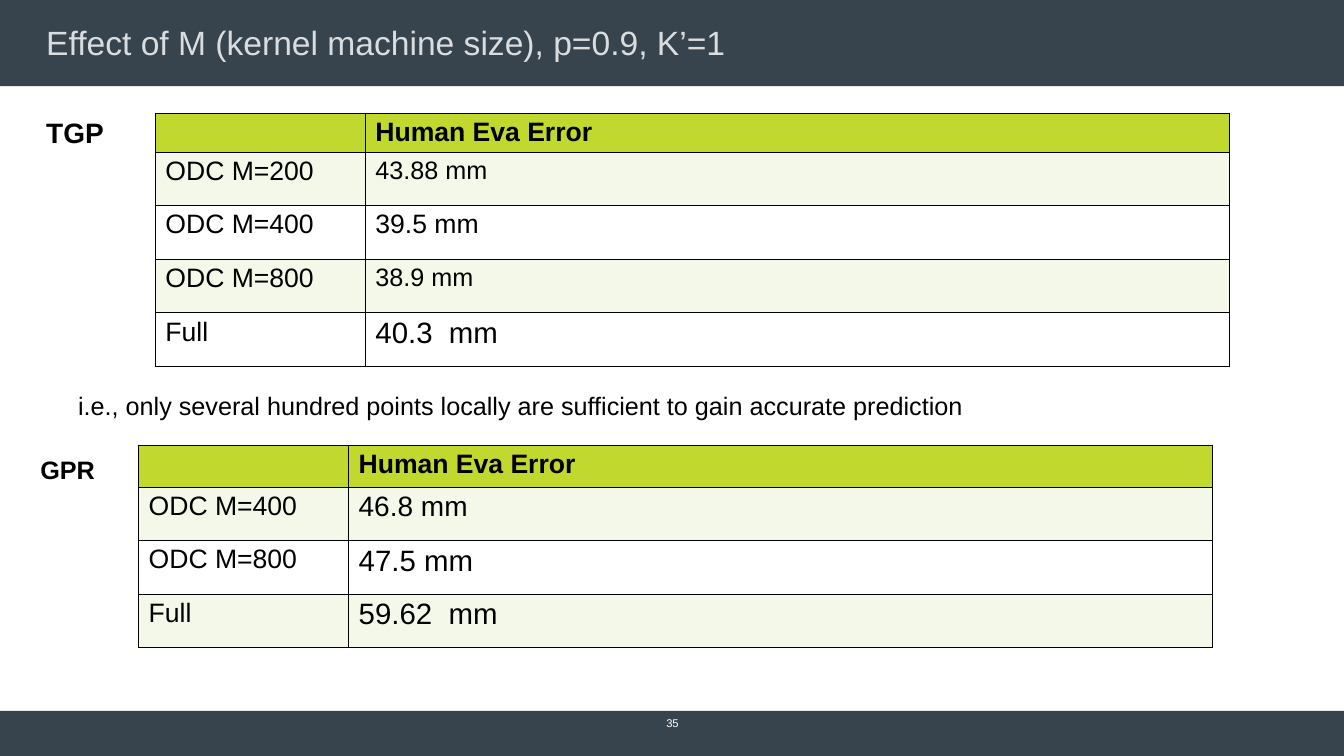
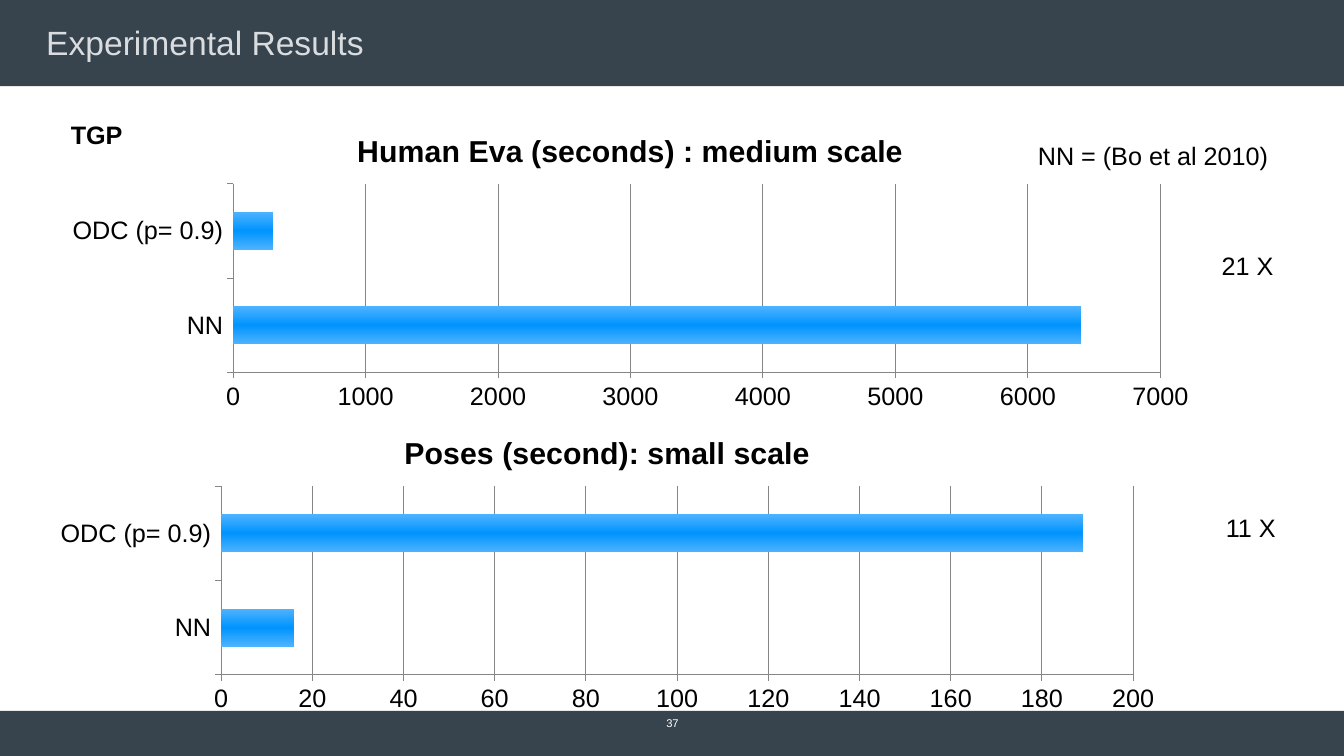
from copy import deepcopy
from dataclasses import dataclass

from lxml.etree import SubElement
from pptx import Presentation
from pptx.chart.data import CategoryChartData
from pptx.dml.color import RGBColor
from pptx.enum.chart import XL_CHART_TYPE, XL_TICK_MARK
from pptx.enum.shapes import MSO_SHAPE
from pptx.enum.text import MSO_ANCHOR, MSO_AUTO_SIZE, PP_ALIGN
from pptx.oxml import parse_xml
from pptx.oxml.ns import nsdecls, qn
from pptx.util import Emu, Pt

# Shared look
PX = 9525
WIDE, HIGH = 1280, 720
FACE = "Arial"
INK = {
    "band": "37434D", "title": "DADDE0", "text": "000000", "white": "FFFFFF",
    "head": "C1D82F", "tint": "F4F8E8", "axis": "868686",
    "edge": "4DB3FF", "core": "0094FF",
}


@dataclass(frozen=True)
class Box:
    left: int
    top: int
    width: int
    height: int

    def emu(self) -> list[Emu]:
        return [px(n) for n in (self.left, self.top, self.width, self.height)]


@dataclass(frozen=True)
class Label:
    text: str
    box: Box
    bold: bool = False


@dataclass(frozen=True)
class Row:
    name: str
    error: str
    size: int


@dataclass(frozen=True)
class Grid:
    left: int
    top: int
    head: int
    rows: list[Row]


@dataclass(frozen=True)
class Graph:
    title: str
    box: Box
    values: tuple[int, int]
    top: int
    step: int


BANDS = [Box(0, 0, WIDE, 82), Box(0, 677, WIDE, 43)]
TITLE = Box(32, 19, 1215, 43)
BODY = Box(32, 104, 1215, 544)
PAGE = Box(587, 680, 107, 17)
COLS = (200, 823)
ROW = 51

GRIDS = [
    Grid(148, 108, 37, [
        Row("ODC M=200", "43.88 mm", 18),
        Row("ODC M=400", "39.5 mm", 19),
        Row("ODC M=800", "38.9 mm", 18),
        Row("Full", "40.3  mm", 21),
    ]),
    Grid(132, 424, 40, [
        Row("ODC M=400", "46.8 mm", 20),
        Row("ODC M=800", "47.5 mm", 21),
        Row("Full", "59.62  mm", 21),
    ]),
]
NOTES = [
    Label("i.e., only several hundred points locally are sufficient to gain "
          "accurate prediction", Box(65, 367, 882, 38)),
    Label("GPR", Box(29, 428, 72, 38), True),
]
GRAPHS = [
    Graph("Human Eva (seconds) : medium scale", Box(47, 109, 1107, 288),
          (6400, 300), 7000, 1000),
    Graph("Poses (second): small scale", Box(36, 397, 1085, 288),
          (16, 189), 200, 20),
]
MARKS = [
    Label("TGP", Box(58, 109, 69, 38), True),
    Label("21 X", Box(1154, 234, 69, 38)),
    Label("11 X", Box(1158, 483, 67, 38)),
    Label("NN = (Bo et al 2010)", Box(979, 129, 241, 38)),
]


def px(count: int) -> Emu:
    return Emu(count * PX)


def hue(name: str) -> RGBColor:
    return RGBColor.from_string(INK[name])


def style(font, size: float, ink: str = "text", bold: bool = False) -> None:
    font.name, font.size, font.bold = FACE, Pt(size), bold
    font.color.rgb = hue(ink)


def place(shape, box: Box) -> None:
    shape.left, shape.top, shape.width, shape.height = box.emu()


def inset(frame) -> None:
    frame.margin_left = frame.margin_right = px(12)
    frame.margin_top = frame.margin_bottom = px(6)
    frame.auto_size = MSO_AUTO_SIZE.NONE
    frame.word_wrap = True


def add_bands(slide, layout) -> None:
    """Put the bands on the layout, behind its placeholders."""
    for rank, box in enumerate(BANDS):
        band = slide.shapes.add_shape(MSO_SHAPE.RECTANGLE, *box.emu())
        band.shadow.inherit = False
        band.fill.solid()
        band.fill.fore_color.rgb = hue("band")
        band.line.fill.background()
        band.element.nvSpPr.cNvPr.set("id", str(90 + rank))
        layout.shapes.element.insert(2 + rank, band.element)


def add_frame(slide, title: str, page: str) -> None:
    """Fill the title and the page number."""
    head = slide.shapes.title
    place(head, TITLE)
    frame = head.text_frame
    frame.text = title
    inset(frame)
    frame.vertical_anchor = MSO_ANCHOR.MIDDLE
    line = frame.paragraphs[0]
    line.alignment = PP_ALIGN.LEFT
    style(line.font, 24, "title")

    frame = slide.shapes.add_textbox(*PAGE.emu()).text_frame
    frame.text = page
    inset(frame)
    frame.vertical_anchor = MSO_ANCHOR.MIDDLE
    line = frame.paragraphs[0]
    line.alignment = PP_ALIGN.CENTER
    style(line.font, 8, "white")


def fill_body(body, text: str) -> None:
    place(body, BODY)
    frame = body.text_frame
    frame.text = text
    inset(frame)
    line = frame.paragraphs[0]
    line.space_before = Pt(7.1)
    style(line.font, 20, bold=True)
    props = line._p.get_or_add_pPr()
    props.set("marL", "0")
    props.set("indent", "0")
    props.find(qn("a:spcBef")).addnext(
        parse_xml(f"<a:buNone {nsdecls('a')}/>"))


def add_label(slide, label: Label) -> None:
    frame = slide.shapes.add_textbox(*label.box.emu()).text_frame
    frame.text = label.text
    frame.word_wrap = False
    frame.auto_size = MSO_AUTO_SIZE.SHAPE_TO_FIT_TEXT
    style(frame.paragraphs[0].font, 18, bold=label.bold)


def set_cell(cell, text: str, size: int, fill: str, bold: bool) -> None:
    cell.text = text
    cell.margin_top = cell.margin_bottom = px(4)
    style(cell.text_frame.paragraphs[0].font, size, bold=bold)
    cell.fill.solid()
    cell.fill.fore_color.rgb = hue(fill)
    # Borders stand before the fill
    props = cell._tc.get_or_add_tcPr()
    for rank, side in enumerate("LRTB"):
        edge = parse_xml(f'<a:ln{side} {nsdecls("a")} w="12700"/>')
        paint = SubElement(edge, qn("a:solidFill"))
        SubElement(paint, qn("a:srgbClr"), val=INK["text"])
        props.insert(rank, edge)


def add_grid(slide, grid: Grid) -> None:
    count = len(grid.rows) + 1
    box = Box(grid.left, grid.top, sum(COLS), grid.head + ROW * (count - 1))
    table = slide.shapes.add_table(count, len(COLS), *box.emu()).table
    table.first_row = table.horz_banding = False
    for col, width in zip(table.columns, COLS):
        col.width = px(width)
    for rank, row in enumerate([Row("", "Human Eva Error", 19), *grid.rows]):
        top = rank == 0
        table.rows[rank].height = px(grid.head if top else ROW)
        fill = "head" if top else ("white", "tint")[rank % 2]
        set_cell(table.cell(rank, 0), row.name, 19, fill, top)
        set_cell(table.cell(rank, 1), row.error, row.size, fill, top)


def shade(fill) -> None:
    """Blend from light edges to a strong core."""
    fill.gradient()
    fill.gradient_angle = 90
    first, last = fill.gradient_stops
    first.color.rgb, first.position = hue("edge"), 0
    last.color.rgb, last.position = hue("core"), 0.5
    end = deepcopy(first._gs)
    end.set("pos", "100000")
    last._gs.addnext(end)


def add_graph(slide, graph: Graph) -> None:
    data = CategoryChartData()
    data.categories = ["NN", "ODC (p= 0.9)"]
    data.add_series("Series 1", graph.values)
    chart = slide.shapes.add_chart(
        XL_CHART_TYPE.BAR_CLUSTERED, *graph.box.emu(), data).chart
    style(chart.font, 18)
    chart.has_legend = False
    chart.has_title = True
    frame = chart.chart_title.text_frame
    frame.text = graph.title
    style(frame.paragraphs[0].font, 21.6, bold=True)
    chart.chart_title.include_in_layout = False

    plot = chart.plots[0]
    plot.gap_width = 150
    plot.vary_by_categories = False
    shade(plot.series[0].format.fill)

    scale = chart.value_axis
    scale.minimum_scale, scale.maximum_scale = 0, graph.top
    scale.major_unit = graph.step
    scale.has_major_gridlines = True
    for axis in (chart.category_axis, scale):
        axis.major_tick_mark = XL_TICK_MARK.OUTSIDE
    for item in (chart.category_axis, scale, scale.major_gridlines):
        item.format.line.color.rgb = hue("axis")
        item.format.line.width = Pt(0.75)

    # Clear ground, so the footer band shows
    chart.element.find(qn("c:chart")).addnext(parse_xml(
        f"<c:spPr {nsdecls('c', 'a')}><a:noFill/>"
        "<a:ln><a:noFill/></a:ln></c:spPr>"))


def main() -> None:
    deck = Presentation()
    deck.slide_width, deck.slide_height = px(WIDE), px(HIGH)
    layout = deck.slide_layouts[1]

    # Kernel size tables
    slide = deck.slides.add_slide(layout)
    add_bands(slide, layout)
    add_frame(slide, "Effect of M (kernel machine size), p=0.9, K’=1", "35")
    fill_body(slide.placeholders[1], "TGP")
    for grid in GRIDS:
        add_grid(slide, grid)
    for note in NOTES:
        add_label(slide, note)

    # Run time charts
    slide = deck.slides.add_slide(layout)
    add_frame(slide, "Experimental Results", "37")
    body = slide.placeholders[1].element
    body.getparent().remove(body)
    for graph in GRAPHS:
        add_graph(slide, graph)
    for mark in MARKS:
        add_label(slide, mark)

    deck.save("out.pptx")


if __name__ == "__main__":
    main()
